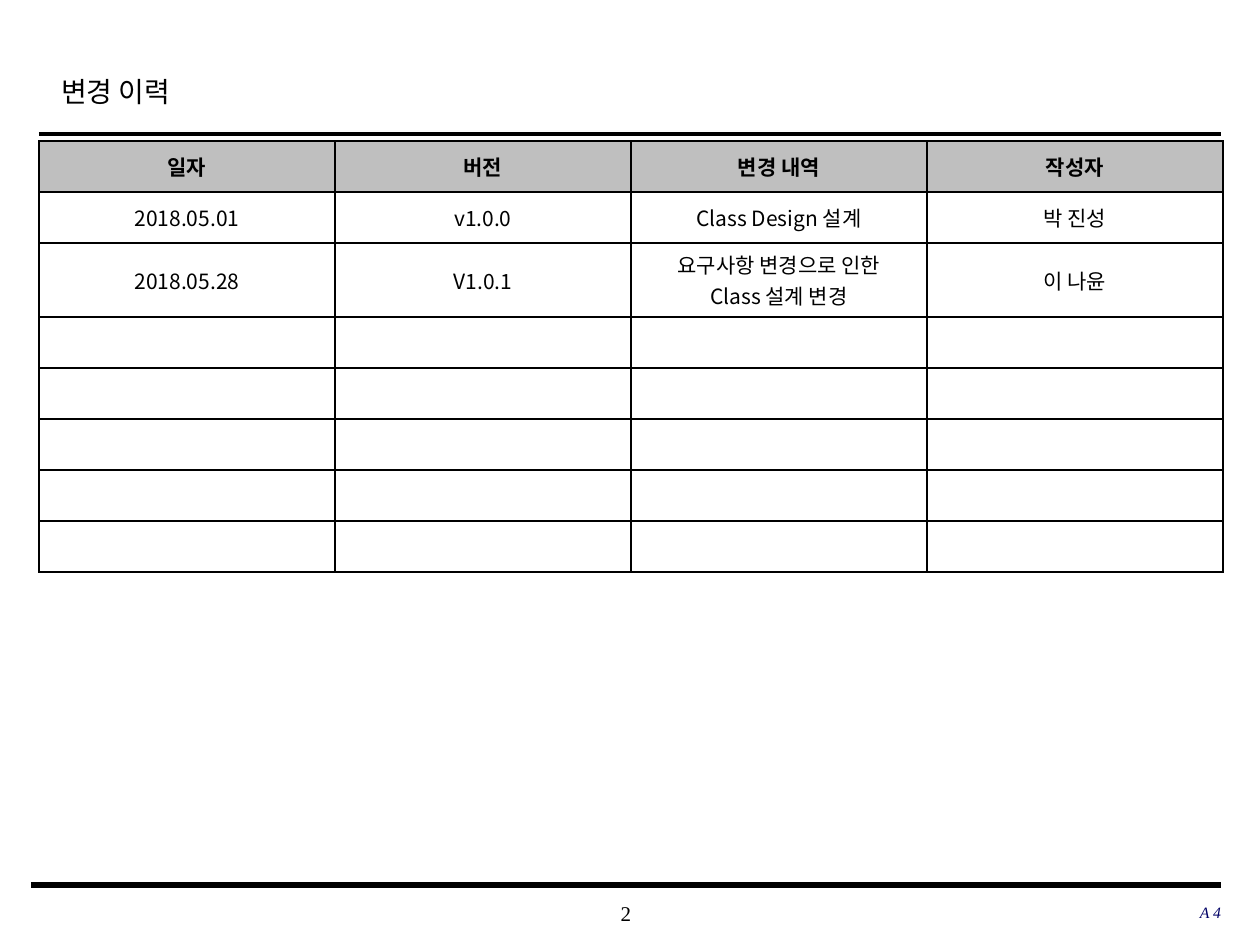
from lxml import etree
from pptx import Presentation
from pptx import util as u
from pptx.dml.color import RGBColor
from pptx.enum import shapes, text
from pptx.oxml.ns import qn

SERIF, SANS = "Times New Roman", "Noto Sans CJK KR"
BLACK, NAVY, GREY, WHITE = "000000", "000066", "BFBFBF", "FFFFFF"
LEFT, CENTER, RIGHT = text.PP_ALIGN.LEFT, text.PP_ALIGN.CENTER, text.PP_ALIGN.RIGHT
TOP, MIDDLE = text.MSO_ANCHOR.TOP, text.MSO_ANCHOR.MIDDLE

TITLE = ("변경 이력", (49, 62, 951, 63), 16, BLACK, LEFT)
FOOTERS = [
    ("2", (495, 892, 262, 42), 12, BLACK, CENTER),
    ("A 4", (835, 891, 386, 42), 9, NAVY, RIGHT),
]
RULES = [(39, 1221, 134, 2.5), (31, 1221, 885, 3)]
HISTORY = [
    ["일자", "버전", "변경 내역", "작성자"],
    ["2018.05.01", "v1.0.0", "Class Design 설계", "박 진성"],
    ["2018.05.28", "V1.0.1", "요구사항 변경으로 인한\nClass 설계 변경", "이 나윤"],
]
ROWS, COLUMN_WIDTH, ROW_HEIGHT, TALL_ROW_HEIGHT = 8, 296, 51, 74
TABLE_LEFT, TABLE_TOP = 39, 141


def px(length):
    """Turn px into EMU."""
    return u.Emu(round(length * 914400 / 126))


def color(value):
    """Turn a hex string into a colour."""
    return RGBColor.from_string(value)


def write(paragraph, words, size, ink, align, face, bold=False, italic=False):
    """Add the lines of words as styled runs."""
    paragraph.alignment = align
    for index, line in enumerate(words.split("\n")):
        if index:
            paragraph.add_line_break()
        run = paragraph.add_run()
        run.text = line
        font = run.font
        font.size, font.name, font.bold, font.italic = u.Pt(size), face, bold, italic
        font.color.rgb = color(ink)
        etree.SubElement(font._element, qn("a:ea"), typeface=SANS)


def add_label(slide, words, box, size, ink, align, anchor, inset, italic=False):
    """Add a text box and return its paragraph."""
    frame = slide.shapes.add_textbox(*map(px, box)).text_frame
    frame.word_wrap, frame.vertical_anchor = True, anchor
    frame.margin_left = frame.margin_right = px(inset * 2)
    frame.margin_top = frame.margin_bottom = px(inset)
    write(frame.paragraphs[0], words, size, ink, align, SERIF, italic=italic)
    return frame.paragraphs[0]


def add_rule(slide, left, right, y, weight):
    """Add a horizontal black line."""
    rule = slide.shapes.add_connector(
        shapes.MSO_CONNECTOR.STRAIGHT, px(left), px(y), px(right), px(y))
    rule.line.color.rgb, rule.line.width = color(BLACK), u.Pt(weight)
    etree.SubElement(rule._element.spPr, qn("a:effectLst"))


def add_borders(cell):
    """Draw thin black borders around a cell."""
    properties = cell._tc.get_or_add_tcPr()
    for index, side in enumerate(("lnL", "lnR", "lnT", "lnB")):
        border = etree.Element(qn(f"a:{side}"), w=str(u.Pt(1)))
        fill = etree.SubElement(border, qn("a:solidFill"))
        etree.SubElement(fill, qn("a:srgbClr"), val=BLACK)
        properties.insert(index, border)


def add_history(slide):
    """Add the change history table."""
    columns = len(HISTORY[0])
    heights = [TALL_ROW_HEIGHT if any("\n" in words for words in row) else ROW_HEIGHT
               for row in HISTORY]
    heights += [ROW_HEIGHT] * (ROWS - len(HISTORY))
    box = (TABLE_LEFT, TABLE_TOP, columns * COLUMN_WIDTH, sum(heights))
    table = slide.shapes.add_table(ROWS, columns, *map(px, box)).table
    for column in table.columns:
        column.width = px(COLUMN_WIDTH)
    for r, height in enumerate(heights):
        table.rows[r].height = px(height)
        for c in range(columns):
            cell = table.cell(r, c)
            cell.vertical_anchor = MIDDLE
            cell.fill.solid()
            cell.fill.fore_color.rgb = color(WHITE if r else GREY)
            add_borders(cell)
            if r < len(HISTORY):
                write(cell.text_frame.paragraphs[0], HISTORY[r][c], 12, BLACK,
                      CENTER, SANS, bold=r == 0)


def main():
    """Build the change history slide."""
    deck = Presentation()
    deck.slide_width, deck.slide_height = px(1260), px(945)
    slide = deck.slides.add_slide(deck.slide_layouts[6])
    for rule in RULES:
        add_rule(slide, *rule)
    add_label(slide, *TITLE, TOP, 6).line_spacing = 1.2
    for footer in FOOTERS:
        add_label(slide, *footer, MIDDLE, 0, italic=footer[3] == NAVY)
    add_history(slide)
    deck.save("out.pptx")


if __name__ == "__main__":
    main()
